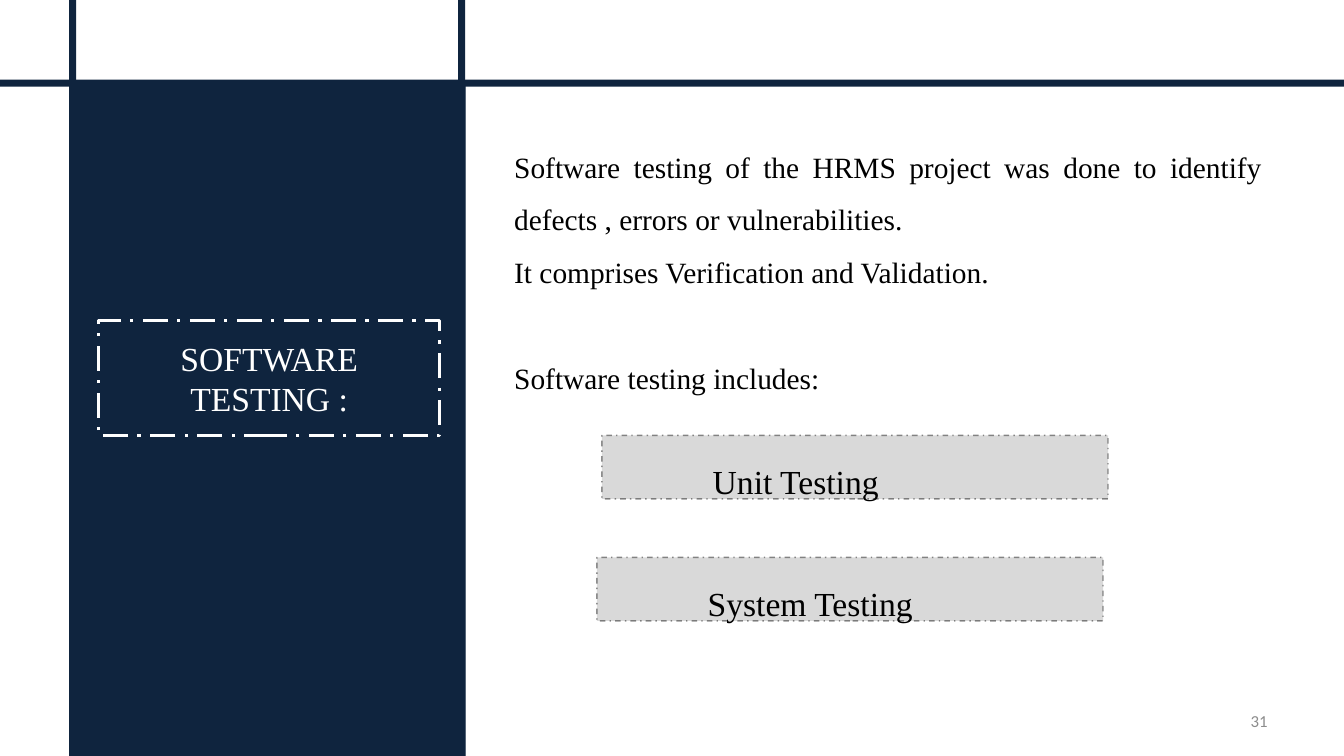
from dataclasses import dataclass

from lxml.etree import SubElement
from pptx import Presentation
from pptx.dml.color import RGBColor
from pptx.enum.dml import MSO_LINE
from pptx.enum.shapes import MSO_SHAPE
from pptx.enum.text import MSO_ANCHOR, MSO_AUTO_SIZE, PP_ALIGN
from pptx.oxml.ns import qn
from pptx.util import Inches, Pt


@dataclass(frozen=True)
class Theme:
    navy: RGBColor = RGBColor(0x0F, 0x24, 0x3E)
    white: RGBColor = RGBColor(0xFF, 0xFF, 0xFF)
    black: RGBColor = RGBColor(0, 0, 0)
    label_fill: RGBColor = RGBColor(0xD9, 0xD9, 0xD9)
    label_line: RGBColor = RGBColor(0x0D, 0x0D, 0x0D)
    number: RGBColor = RGBColor(0x8C, 0x8C, 0x8C)
    serif: str = "Times New Roman"
    sans: str = "Calibri"
    heading_size: float = 24
    body_size: float = 21
    number_size: float = 12


class SlideBuilder:
    def __init__(self, page, theme):
        self.page = page
        self.theme = theme

    def place(self, shape, left, top, width, height):
        shape.left, shape.top = Inches(left), Inches(top)
        shape.width, shape.height = Inches(width), Inches(height)

    def add_text(self, para, text, size, color, align, font=None, spacing=None):
        para.alignment = align
        para.space_before = Pt(0)
        if spacing:
            para.line_spacing = spacing
        span = para.add_run()
        span.text = text
        span.font.name = font or self.theme.serif
        span.font.size = Pt(size)
        span.font.color.rgb = color

    def block(self, left, top, width, height, fill):
        shape = self.page.shapes.add_shape(
            MSO_SHAPE.RECTANGLE, Inches(left), Inches(top), Inches(width), Inches(height))
        shape.shadow.inherit = False
        shape.fill.solid()
        shape.fill.fore_color.rgb = fill
        shape.line.fill.background()
        return shape

    def outline(self, shape, color, width, dash, opacity=None):
        shape.line.color.rgb = color
        shape.line.width = Pt(width)
        shape.line.dash_style = dash
        if opacity:
            line_color = shape.element.spPr.find(qn("a:ln")).find(".//" + qn("a:srgbClr"))
            SubElement(line_color, qn("a:alpha"), val=str(opacity * 1000))

    def title(self, text, *area):
        box = self.page.shapes.title
        self.place(box, *area)
        self.outline(box, self.theme.white, 2.25, MSO_LINE.LONG_DASH_DOT)
        frame = box.text_frame
        frame.auto_size = MSO_AUTO_SIZE.NONE
        frame.vertical_anchor = MSO_ANCHOR.MIDDLE
        self.add_text(frame.paragraphs[0], text, self.theme.heading_size,
                      self.theme.white, PP_ALIGN.CENTER)

    def body(self, texts, last_gap, *area):
        box = self.page.placeholders[1]
        self.place(box, *area)
        frame = box.text_frame
        frame.auto_size = MSO_AUTO_SIZE.NONE
        frame.vertical_anchor = MSO_ANCHOR.TOP
        for index, text in enumerate(texts):
            para = frame.add_paragraph() if index else frame.paragraphs[0]
            self.add_text(para, text, self.theme.body_size, self.theme.black,
                          PP_ALIGN.JUSTIFY, spacing=1.5)
            props = para._p.get_or_add_pPr()
            props.set("marL", "0")
            props.set("indent", "0")
            SubElement(props, qn("a:buNone"))
        para.space_before = Pt(last_gap)

    def label(self, text, *area):
        box = self.block(*area, self.theme.label_fill)
        self.outline(box, self.theme.label_line, 1, MSO_LINE.DASH_DOT, opacity=46)
        frame = box.text_frame
        frame.word_wrap = True
        frame.auto_size = MSO_AUTO_SIZE.SHAPE_TO_FIT_TEXT
        frame.vertical_anchor = MSO_ANCHOR.TOP
        para = frame.paragraphs[0]
        self.add_text(para, text, self.theme.heading_size, self.theme.black,
                      PP_ALIGN.JUSTIFY, spacing=1.5)
        para._p.get_or_add_pPr().set("marL", str(Inches(1)))

    def page_number(self, text, left, top, width, height):
        box = self.page.shapes.add_textbox(
            Inches(left), Inches(top), Inches(width), Inches(height))
        frame = box.text_frame
        frame.word_wrap = True
        frame.vertical_anchor = MSO_ANCHOR.MIDDLE
        self.add_text(frame.paragraphs[0], text, self.theme.number_size,
                      self.theme.number, PP_ALIGN.RIGHT, font=self.theme.sans)


def main():
    deck = Presentation()
    deck.slide_width, deck.slide_height = Inches(13.33), Inches(7.5)
    page = deck.slides.add_slide(deck.slide_layouts[1])
    theme = Theme()
    builder = SlideBuilder(page, theme)

    # Navy panel and crossing bars, kept behind the placeholders
    bar = 0.07
    areas = [(0.72, 0.85, 3.9, 6.65), (0, 0.79, 13.33, bar)]
    areas += [(center - bar / 2, 0, bar, 7.5) for center in (0.72, 4.58)]
    for index, area in enumerate(areas):
        shape = builder.block(*area, theme.navy)
        page.shapes.element.insert(2 + index, shape.element)

    # Title and explanation
    builder.title("SOFTWARE TESTING :", 0.98, 3.18, 3.38, 1.14)
    builder.body([
        "Software testing of the HRMS project was done to identify defects , "
        "errors or vulnerabilities.",
        "It comprises Verification and Validation.",
        "Software testing includes:",
    ], 38, 5, 1.25, 7.62, 3.22)

    # Page number
    builder.page_number("31", 9.56, 6.95, 3.11, 0.4)

    # Kinds of testing
    for text, left, top in (("Unit Testing", 5.97, 4.32), ("System Testing", 5.92, 5.53)):
        builder.label(text, left, top, 5.02, 0.63)

    deck.save("out.pptx")


if __name__ == "__main__":
    main()
